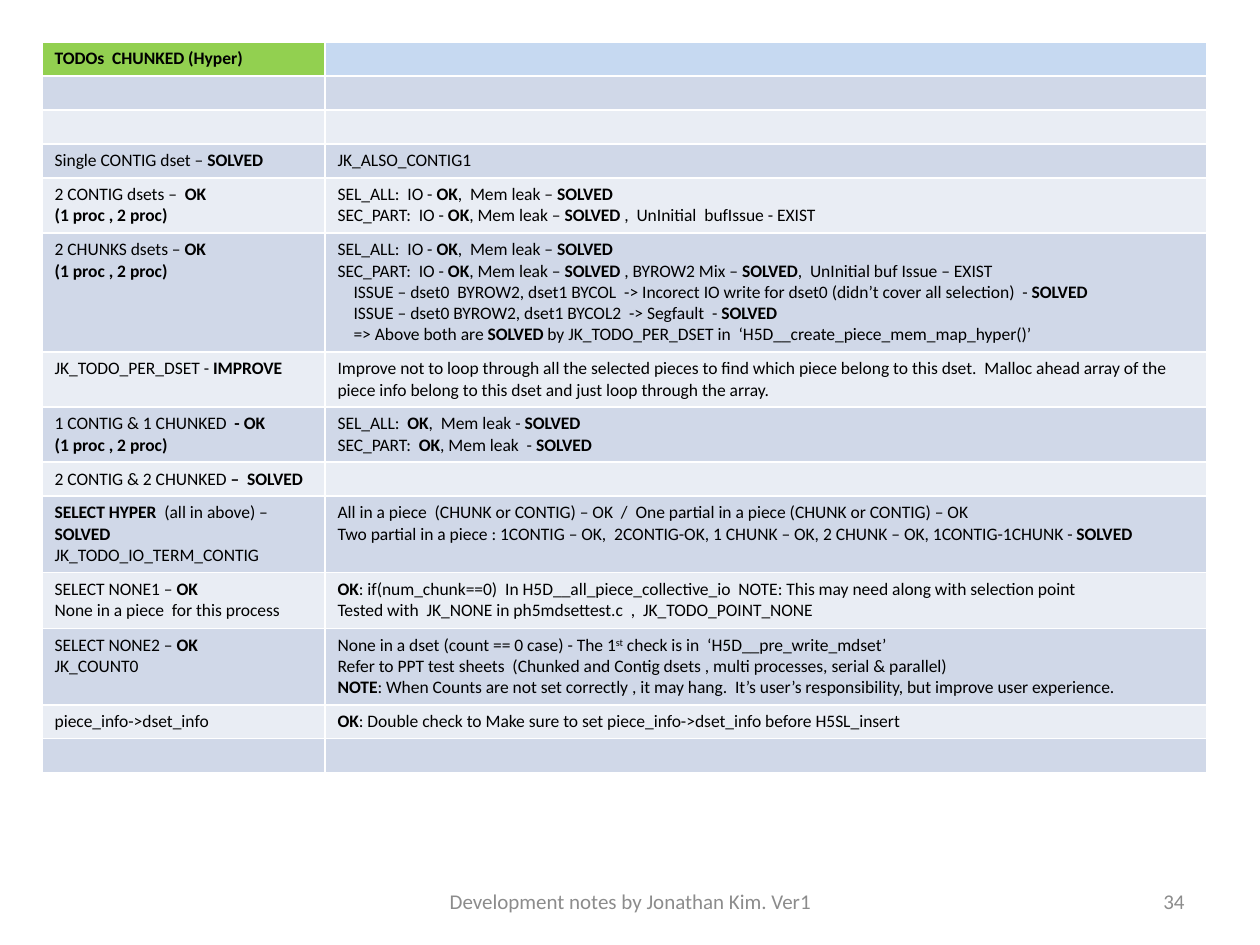
from pptx import Presentation
from pptx.dml.color import RGBColor
from pptx.enum.text import MSO_ANCHOR, PP_ALIGN
from pptx.util import Pt
from lxml.etree import SubElement

PX = 914400 // 126
COLORS = {
    "text": "000000", "footer": "8C8C8C", "title": "92D050",
    "title_side": "C6D9F1", "dark_band": "D0D8E8", "light_band": "E9EDF4",
}
INDENT = 16

# Each row: height, left cell lines, right cell lines.
# **bold**, ^superscript^, and a leading tab for an indented line.
ROWS = [
    (33, ["**TODOs  CHUNKED (Hyper)**"], []),
    (34, [], []),
    (34, [], []),
    (34, ["Single CONTIG dset – **SOLVED**"], ["JK_ALSO_CONTIG1"]),
    (55, ["2 CONTIG dsets –  **OK**", "**(1 proc , 2 proc)**"],
     ["SEL_ALL:  IO - **OK**,  Mem leak – **SOLVED**",
      "SEC_PART:  IO - **OK**, Mem leak – **SOLVED** ,  UnInitial  bufIssue - EXIST"]),
    (119, ["2 CHUNKS dsets – **OK**", "**(1 proc , 2 proc)**"],
     ["SEL_ALL:  IO - **OK**,  Mem leak – **SOLVED**",
      "SEC_PART:  IO - **OK**, Mem leak – **SOLVED** , BYROW2 Mix – **SOLVED**,"
      "  UnInitial buf Issue – EXIST",
      "\tISSUE – dset0  BYROW2, dset1 BYCOL  -> Incorect IO write for dset0 "
      "(didn’t cover all selection)  - **SOLVED**",
      "\tISSUE – dset0 BYROW2, dset1 BYCOL2  -> Segfault  - **SOLVED**",
      "\t=> Above both are **SOLVED** by JK_TODO_PER_DSET in  "
      "‘H5D__create_piece_mem_map_hyper()’"]),
    (55, ["JK_TODO_PER_DSET - **IMPROVE**"],
     ["Improve not to loop through all the selected pieces to find which piece "
      "belong to this dset.  Malloc ahead array of the piece info belong to this "
      "dset and just loop through the array."]),
    (55, ["1 CONTIG & 1 CHUNKED ** - OK**", "**(1 proc , 2 proc)**"],
     ["SEL_ALL:  **OK**,  Mem leak - **SOLVED**",
      "SEC_PART:  **OK**, Mem leak  - **SOLVED**"]),
    (34, ["2 CONTIG & 2 CHUNKED **–  SOLVED**"], []),
    (76, ["**SELECT HYPER**  (all in above) –  **SOLVED**", "JK_TODO_IO_TERM_CONTIG"],
     ["All in a piece  (CHUNK or CONTIG) – OK  /  One partial in a piece "
      "(CHUNK or CONTIG) – OK",
      "Two partial in a piece : 1CONTIG – OK,  2CONTIG-OK, 1 CHUNK – OK, "
      "2 CHUNK – OK, 1CONTIG-1CHUNK - **SOLVED**"]),
    (56, ["SELECT NONE1 – **OK**", "None in a piece  for this process"],
     ["**OK**: if(num_chunk==0)  In H5D__all_piece_collective_io  "
      "NOTE: This may need along with selection point",
      "Tested with  JK_NONE in ph5mdsettest.c  ,  JK_TODO_POINT_NONE"]),
    (76, ["SELECT NONE2 – **OK**", "JK_COUNT0"],
     ["None in a dset (count == 0 case) - The 1^st^ check is in  ‘H5D__pre_write_mdset’",
      "Refer to PPT test sheets  (Chunked and Contig dsets , multi processes, "
      "serial & parallel)",
      "**NOTE**: When Counts are not set correctly , it may hang.  "
      "It’s user’s responsibility, but improve user experience."]),
    (34, ["piece_info->dset_info"],
     ["**OK**: Double check to Make sure to set piece_info->dset_info before H5SL_insert"]),
    (33, [], []),
]
COLUMNS = [283, 882]


def add_run(paragraph, text, color, **font_values):
    run = paragraph.add_run()
    run.text = text
    run.font.color.rgb = RGBColor.from_string(COLORS[color])
    for name, value in {"name": "Calibri", **font_values}.items():
        setattr(run.font, name, value)
    return run


def write_cell(cell, lines):
    """Fill a cell from marked-up lines; an empty cell keeps the small text height."""
    frame = cell.text_frame
    if not lines:
        SubElement(frame.paragraphs[0]._p,
                   "{http://schemas.openxmlformats.org/drawingml/2006/main}endParaRPr",
                   sz="1000")
    for number, line in enumerate(lines):
        paragraph = frame.add_paragraph() if number else frame.paragraphs[0]
        if line.startswith("\t"):
            paragraph._p.get_or_add_pPr().set("marL", str(INDENT * PX))
        for bold_turn, stretch in enumerate(line.lstrip("\t").split("**")):
            for raised_turn, text in enumerate(stretch.split("^")):
                if text:
                    run = add_run(paragraph, text, "text", size=Pt(10),
                                  bold=bold_turn % 2 == 1)
                    if raised_turn % 2:
                        run.font._element.set("baseline", "30000")


presentation = Presentation()
presentation.slide_width = 1260 * PX
presentation.slide_height = 945 * PX
slide = presentation.slides.add_slide(presentation.slide_layouts[6])

todos = slide.shapes.add_table(
    len(ROWS), len(COLUMNS), 42 * PX, 42 * PX,
    sum(COLUMNS) * PX, sum(row[0] for row in ROWS) * PX).table
for column, width in zip(todos.columns, COLUMNS):
    column.width = width * PX

for index, (height, *cell_lines) in enumerate(ROWS):
    todos.rows[index].height = height * PX
    band = "dark_band" if index % 2 else "light_band"
    fills = [band, band] if index else ["title", "title_side"]
    for cell, lines, fill in zip(todos.rows[index].cells, cell_lines, fills):
        cell.fill.solid()
        cell.fill.fore_color.rgb = RGBColor.from_string(COLORS[fill])
        write_cell(cell, lines)

for left, width, text, alignment in [
    (431, 399, "Development notes by Jonathan Kim. Ver1", PP_ALIGN.CENTER),
    (903, 294, "34", PP_ALIGN.RIGHT),
]:
    footer = slide.shapes.add_textbox(left * PX, 876 * PX, width * PX, 50 * PX).text_frame
    footer.word_wrap = True
    footer.vertical_anchor = MSO_ANCHOR.MIDDLE
    footer.paragraphs[0].alignment = alignment
    add_run(footer.paragraphs[0], text, "footer", size=Pt(12))

presentation.save("out.pptx")
